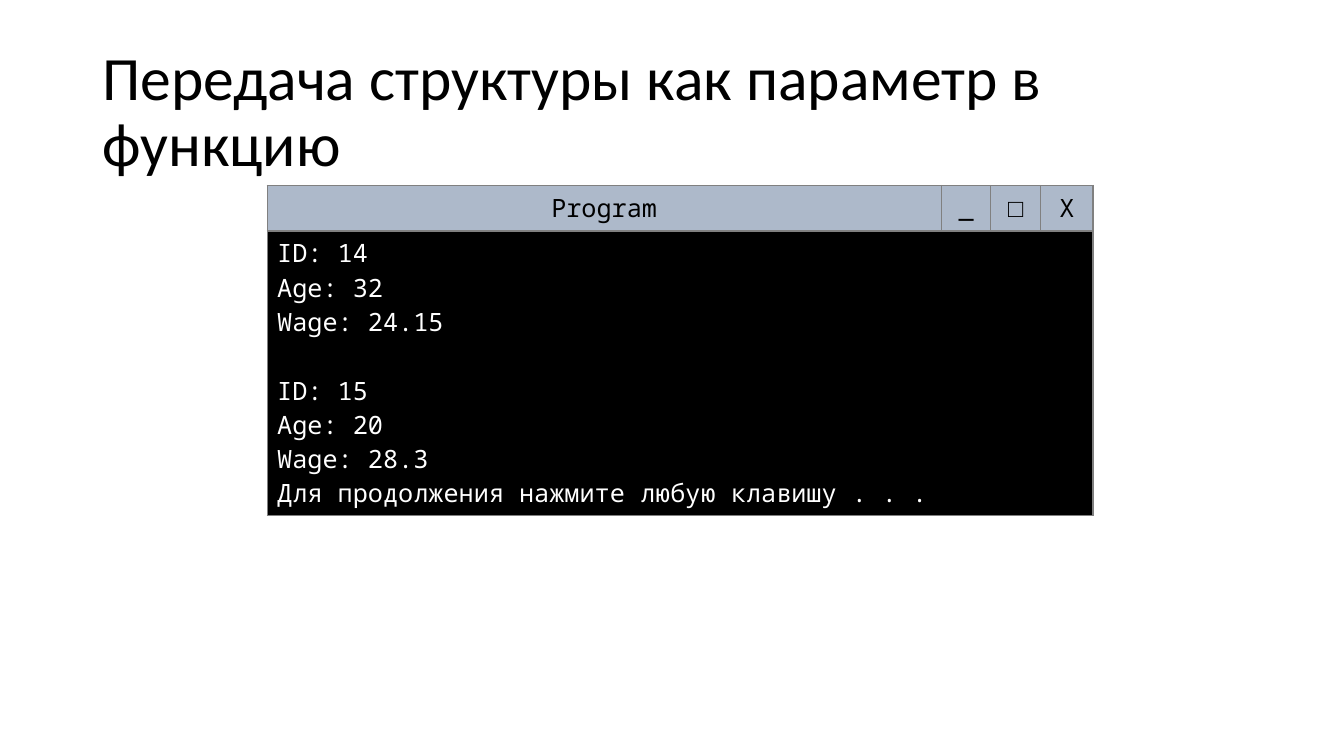
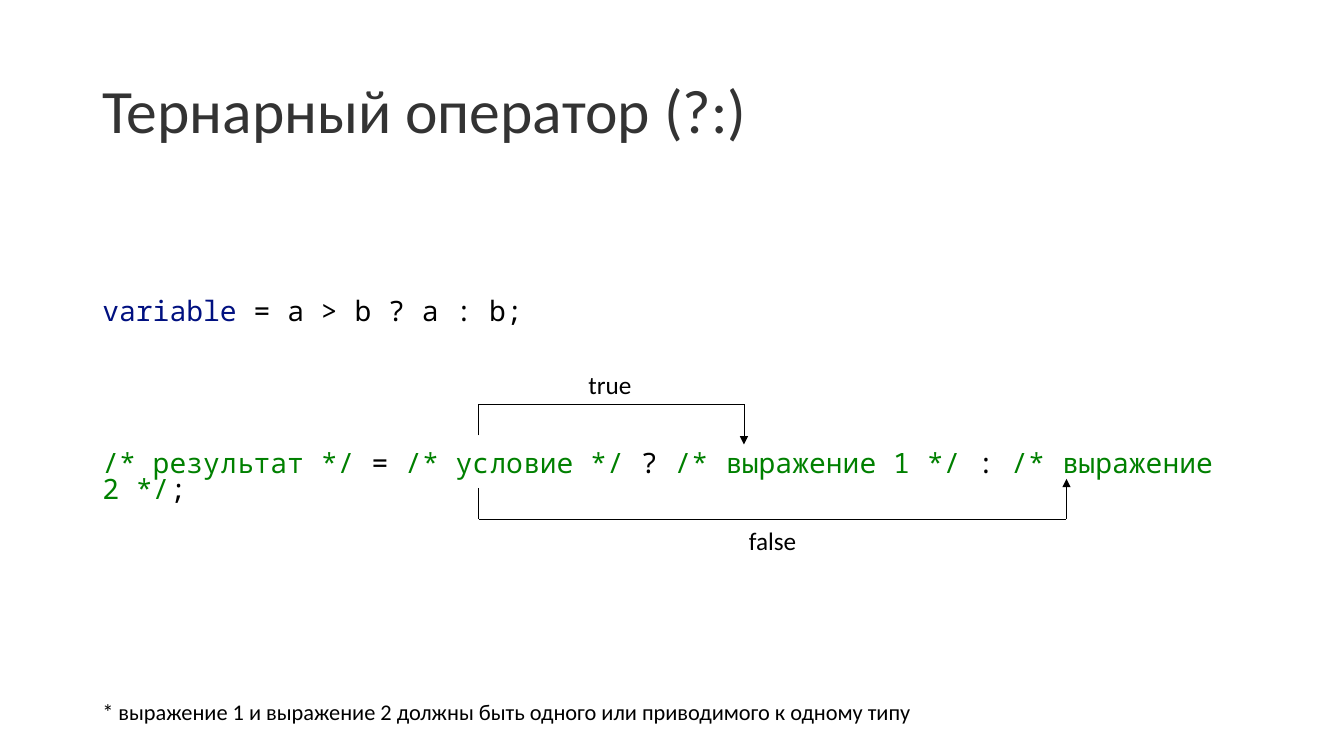
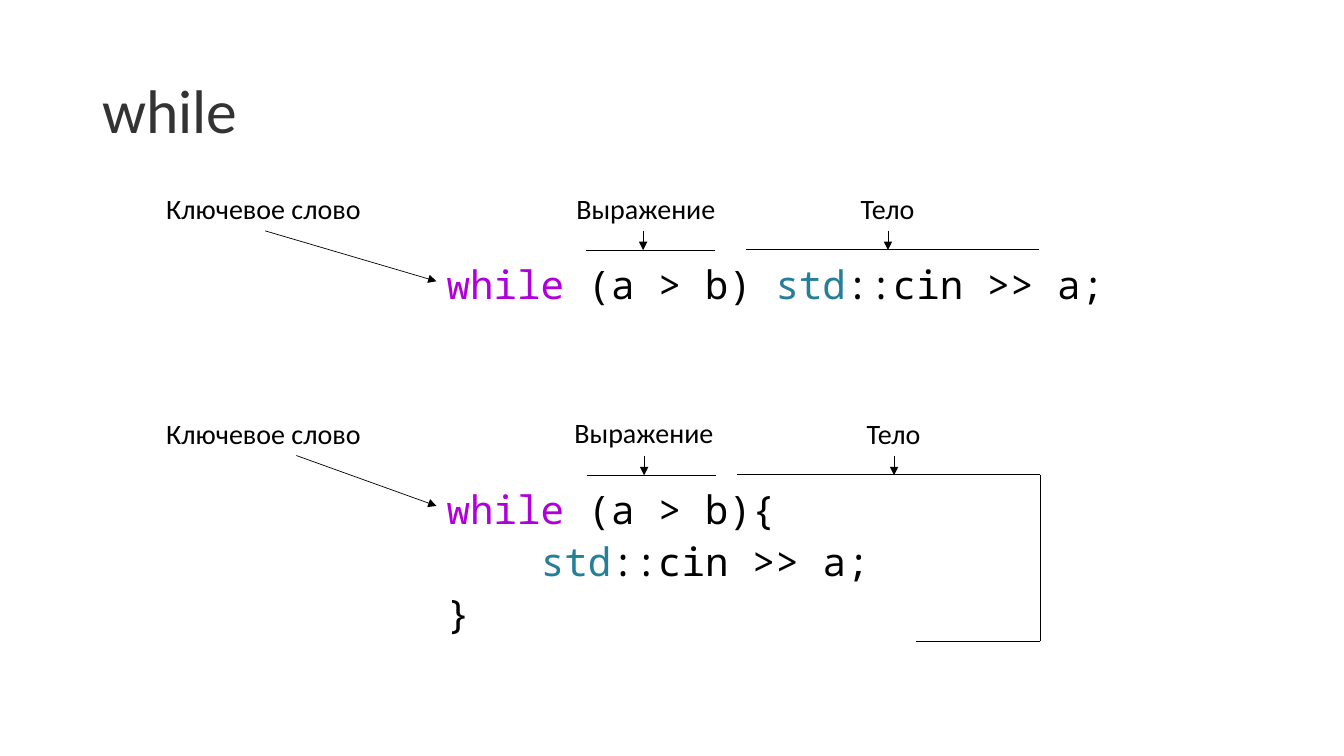
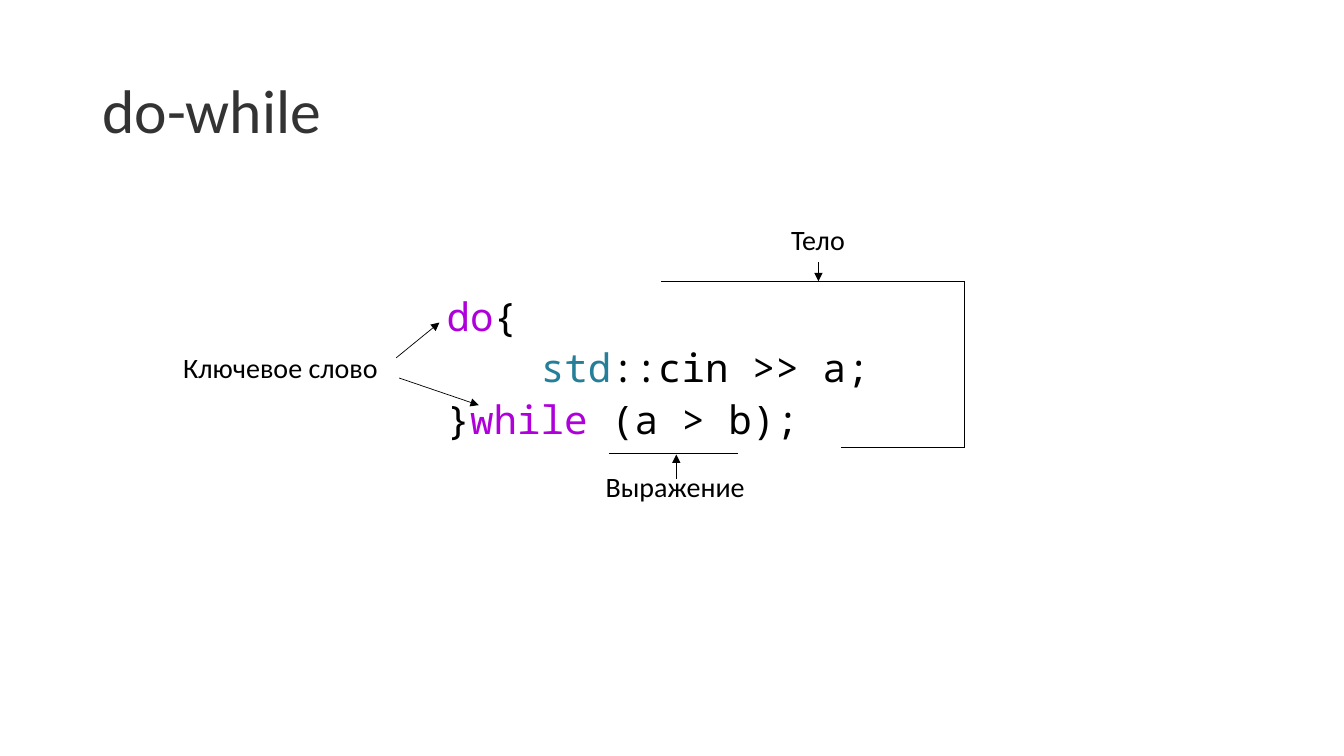
from dataclasses import dataclass

from lxml import etree
from pptx import Presentation
from pptx.dml.color import RGBColor
from pptx.enum import shapes, text
from pptx.oxml import ns
from pptx.util import Pt

SANS, MONO = "Calibri", "Noto Sans Mono"
BLACK, WHITE, DARK_GREY = "000000", "FFFFFF", "333333"
KEYWORD, NAMESPACE = "AF00DB", "267F99"
VARIABLE, COMMENT = "001080", "008000"
TITLE_BAR, BORDER = "ADB9CA", "808080"

LEFT, CONTENT_WIDTH = 66, 828
CODE_LEFT, CODE_WIDTH = 312, 636
CODE_SPACING, CODE_GAP = 0.8, 10
INDENT = 67.2
TABLE_LINE = 24.5

LABEL_WIDTHS = {
    "Ключевое слово": 154.8,
    "Выражение": 115.2,
    "Тело": 53.3,
    "true": 45.4,
    "false": 49,
}

Run = tuple[str, str]
Point = tuple[float, float]


@dataclass
class CodeLine:
    runs: list[Run]
    indent: float = 0


@dataclass
class Code:
    top: float
    lines: list[CodeLine]
    left: float = CODE_LEFT
    width: float = CODE_WIDTH
    size: float = 28


@dataclass
class Label:
    wording: str
    left: float
    top: float
    size: float = 20


@dataclass
class Route:
    """A chain of straight lines, with an arrowhead at its end if wanted."""
    points: list[Point]
    arrow: bool = False


def colour(code: str) -> RGBColor:
    return RGBColor.from_string(code)


def style(paragraph, size: float, font: str, ink: str | None = None) -> None:
    paragraph.font.size = Pt(size)
    paragraph.font.name = font
    if ink:
        paragraph.font.color.rgb = colour(ink)


def add_text_frame(slide, left: float, top: float, width: float, height: float, wrap: bool = True):
    box = slide.shapes.add_textbox(Pt(left), Pt(top), Pt(width), Pt(height))
    box.text_frame.word_wrap = wrap
    return box.text_frame


def add_slide(deck, title: str, ink: str = DARK_GREY):
    slide = deck.slides.add_slide(deck.slide_layouts[6])
    frame = add_text_frame(slide, LEFT, 28.8, CONTENT_WIDTH, 104.4)
    frame.vertical_anchor = text.MSO_ANCHOR.MIDDLE
    heading = frame.paragraphs[0]
    heading.text = title
    heading.line_spacing = 0.9
    style(heading, 44, SANS, ink)
    return slide


def add_code(slide, code: Code) -> None:
    pitch = code.size * 1.36 * CODE_SPACING + CODE_GAP
    frame = add_text_frame(slide, code.left, code.top, code.width, len(code.lines) * pitch)
    for number, line in enumerate(code.lines):
        paragraph = frame.add_paragraph() if number else frame.paragraphs[0]
        paragraph.line_spacing = CODE_SPACING
        paragraph.space_before = Pt(CODE_GAP if number else 0)
        style(paragraph, code.size, MONO)
        if line.indent:
            paragraph._p.get_or_add_pPr().set("marL", str(Pt(line.indent)))
        for wording, ink in line.runs:
            run = paragraph.add_run()
            run.text = wording
            run.font.color.rgb = colour(ink)


def add_label(slide, label: Label) -> None:
    width = LABEL_WIDTHS.get(label.wording, CONTENT_WIDTH)
    frame = add_text_frame(slide, label.left, label.top, width, label.size * 1.22 + 7.2, wrap=False)
    paragraph = frame.paragraphs[0]
    paragraph.text = label.wording
    style(paragraph, label.size, SANS, BLACK)


def add_route(slide, route: Route) -> None:
    for start, end in zip(route.points, route.points[1:]):
        line = slide.shapes.add_connector(
            shapes.MSO_CONNECTOR.STRAIGHT, *(Pt(value) for value in start + end))
        line.line.color.rgb = colour(BLACK)
        line.line.width = Pt(0.5)
        properties = line._element.spPr
        if route.arrow and end == route.points[-1]:
            etree.SubElement(properties.find(ns.qn("a:ln")), ns.qn("a:tailEnd"), type="triangle")
        etree.SubElement(properties, ns.qn("a:effectLst"))


def add_diagram(slide, codes: list[Code], labels: list[Label], routes: list[Route]) -> None:
    for code in codes:
        add_code(slide, code)
    for label in labels:
        add_label(slide, label)
    for route in routes:
        add_route(slide, route)


def paint_cell(cell, fill: str) -> None:
    """Give the cell its four borders, then its fill."""
    properties = cell._tc.get_or_add_tcPr()
    for side in ("lnL", "lnR", "lnT", "lnB"):
        border = etree.SubElement(properties, ns.qn(f"a:{side}"), w=str(Pt(1)))
        solid = etree.SubElement(border, ns.qn("a:solidFill"))
        etree.SubElement(solid, ns.qn("a:srgbClr"), val=BORDER)
    cell.fill.solid()
    cell.fill.fore_color.rgb = colour(fill)


def add_console(slide, captions: list[str], records: list[list[str]]) -> None:
    """Draw a console window; every record after the first follows a gap."""
    widths, heights = (481.5, 35.5, 35.5, 37.5), (32.5, 203)
    window = slide.shapes.add_table(
        2, 4, Pt(190.8), Pt(132.5), Pt(sum(widths)), Pt(sum(heights))).table
    window.first_row = window.horz_banding = False
    for column, width in zip(window.columns, widths):
        column.width = Pt(width)
    for row, height, fill in zip(window.rows, heights, (TITLE_BAR, BLACK)):
        row.height = Pt(height)
        for cell in row.cells:
            paint_cell(cell, fill)

    for cell, caption in zip(window.rows[0].cells, captions):
        cell.vertical_anchor = text.MSO_ANCHOR.MIDDLE
        paragraph = cell.text_frame.paragraphs[0]
        paragraph.text = caption
        paragraph.alignment = text.PP_ALIGN.CENTER
        style(paragraph, 18, MONO, BLACK)

    output = window.cell(1, 0)
    output.merge(window.cell(1, 3))
    frame = output.text_frame
    for number, record in enumerate(records):
        for position, wording in enumerate(record):
            first = number == position == 0
            paragraph = frame.paragraphs[0] if first else frame.add_paragraph()
            paragraph.text = wording
            if number and position == 0:
                paragraph.space_before = Pt(TABLE_LINE)
            style(paragraph, 18, MONO, WHITE)


def build_structure_slide(deck) -> None:
    slide = add_slide(deck, "Передача структуры как параметр в функцию", BLACK)
    add_console(slide, ["Program", "_", "□", "X"], [
        ["ID: 14", "Age: 32", "Wage: 24.15"],
        ["ID: 15", "Age: 20", "Wage: 28.3", "Для продолжения нажмите любую клавишу . . ."],
    ])


def build_ternary_slide(deck) -> None:
    example = [("variable", VARIABLE), (" = a > b ? a : b;", BLACK)]
    scheme = [
        ("/* результат */", COMMENT), (" =", BLACK),
        (" /* условие */", COMMENT), (" ?", BLACK),
        (" /* выражение 1 */", COMMENT), (" :", BLACK),
        (" /* выражение 2 */", COMMENT), (";", BLACK),
    ]
    condition, first, second = 342, 531.4, 761.8
    add_diagram(
        add_slide(deck, "Тернарный оператор (?:)"),
        [Code(top, [CodeLine(runs)], LEFT, CONTENT_WIDTH, 20)
         for top, runs in ((210.5, example), (319, scheme))],
        [Label("true", 413.3, 259.9, 18),
         Label("false", 527.8, 371.5, 18),
         Label("* выражение 1 и выражение 2 должны быть одного или приводимого к одному типу",
               LEFT, 494.8, 16)],
        [Route([(condition, 311), (condition, 288.7), (first, 288.7), (first, 317.5)], True),
         Route([(condition, 348.5), (condition, 370.8), (second, 370.8), (second, 342)], True)],
    )


READ_STATEMENT = [("std", NAMESPACE), ("::cin >> a;", BLACK)]


def body_bracket(left: float, right: float, top: float) -> Route:
    """Outline the right side of a loop body."""
    bottom = top + 118.8
    return Route([(left, top), (right, top), (right, bottom), (right - 88.5, bottom)])


def build_while_slide(deck) -> None:
    one_line = [CodeLine([("while", KEYWORD), (" (a > b) ", BLACK), *READ_STATEMENT])]
    block = [
        CodeLine([("while", KEYWORD), (" (a > b){", BLACK)]),
        CodeLine(READ_STATEMENT, INDENT),
        CodeLine([("}", BLACK)]),
    ]
    add_diagram(
        add_slide(deck, "while"),
        [Code(189.1, one_line), Code(349.8, block)],
        [Label("Ключевое слово", 111.6, 133.2),
         Label("Выражение", 404.6, 133.2),
         Label("Тело", 607.7, 133.2),
         Label("Ключевое слово", 111.6, 293.8),
         Label("Выражение", 403.2, 293),
         Label("Тело", 612, 293.8)],
        [Route([(189.4, 164.9), (311.8, 200.9)], True),
         Route([(459.4, 164.9), (459.4, 178.6)], True),
         Route([(634.3, 164.9), (634.3, 178.6)], True),
         Route([(418.3, 178.6), (510.5, 178.6)]),
         Route([(532.8, 177.8), (742.3, 177.8)]),
         Route([(211.7, 325.4), (311.8, 361.4)], True),
         Route([(460.1, 325.4), (460.1, 339.5)], True),
         Route([(638.6, 325.4), (638.6, 339.5)], True),
         Route([(419, 339.5), (511.2, 339.5)]),
         body_bracket(526.3, 743, 339.1)],
    )


def build_do_while_slide(deck) -> None:
    block = [
        CodeLine([("do", KEYWORD), ("{", BLACK)]),
        CodeLine(READ_STATEMENT, INDENT),
        CodeLine([("}", BLACK), ("while", KEYWORD), (" (a > b);", BLACK)]),
    ]
    add_diagram(
        add_slide(deck, "do-while"),
        [Code(211.4, block)],
        [Label("Ключевое слово", 123.8, 247),
         Label("Выражение", 425.5, 331.9),
         Label("Тело", 558, 155.5)],
        [Route([(285.1, 270), (342, 289.4)], True),
         Route([(283, 255.6), (313.9, 230.4)], True),
         Route([(483.1, 342), (483.1, 324.7)], True),
         Route([(584.6, 187.2), (584.6, 200.9)], True),
         Route([(434.9, 324), (527, 324)]),
         body_bracket(472.3, 689, 200.9)],
    )


def main() -> None:
    deck = Presentation()
    deck.slide_width, deck.slide_height = Pt(960), Pt(540)
    build_structure_slide(deck)
    build_ternary_slide(deck)
    build_while_slide(deck)
    build_do_while_slide(deck)
    deck.save("out.pptx")


if __name__ == "__main__":
    main()
